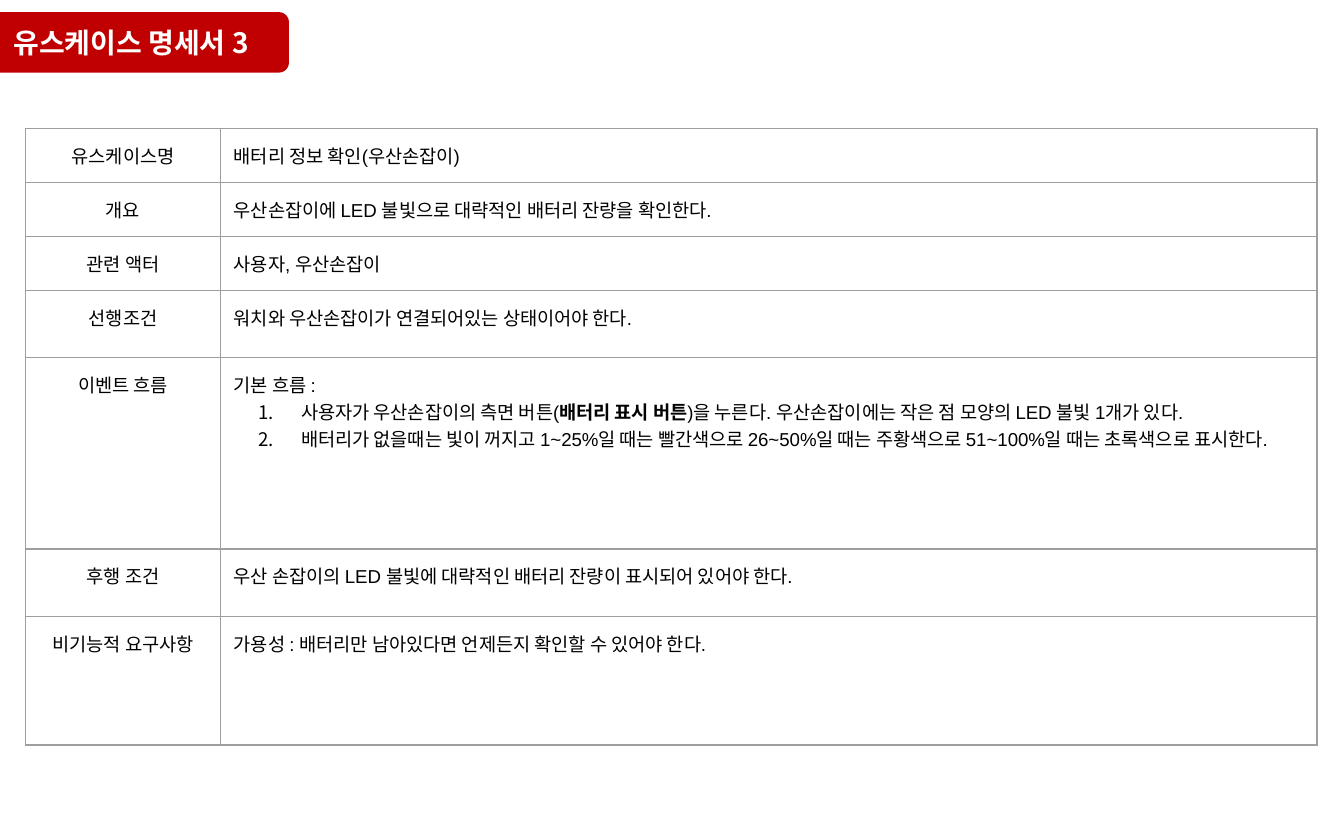
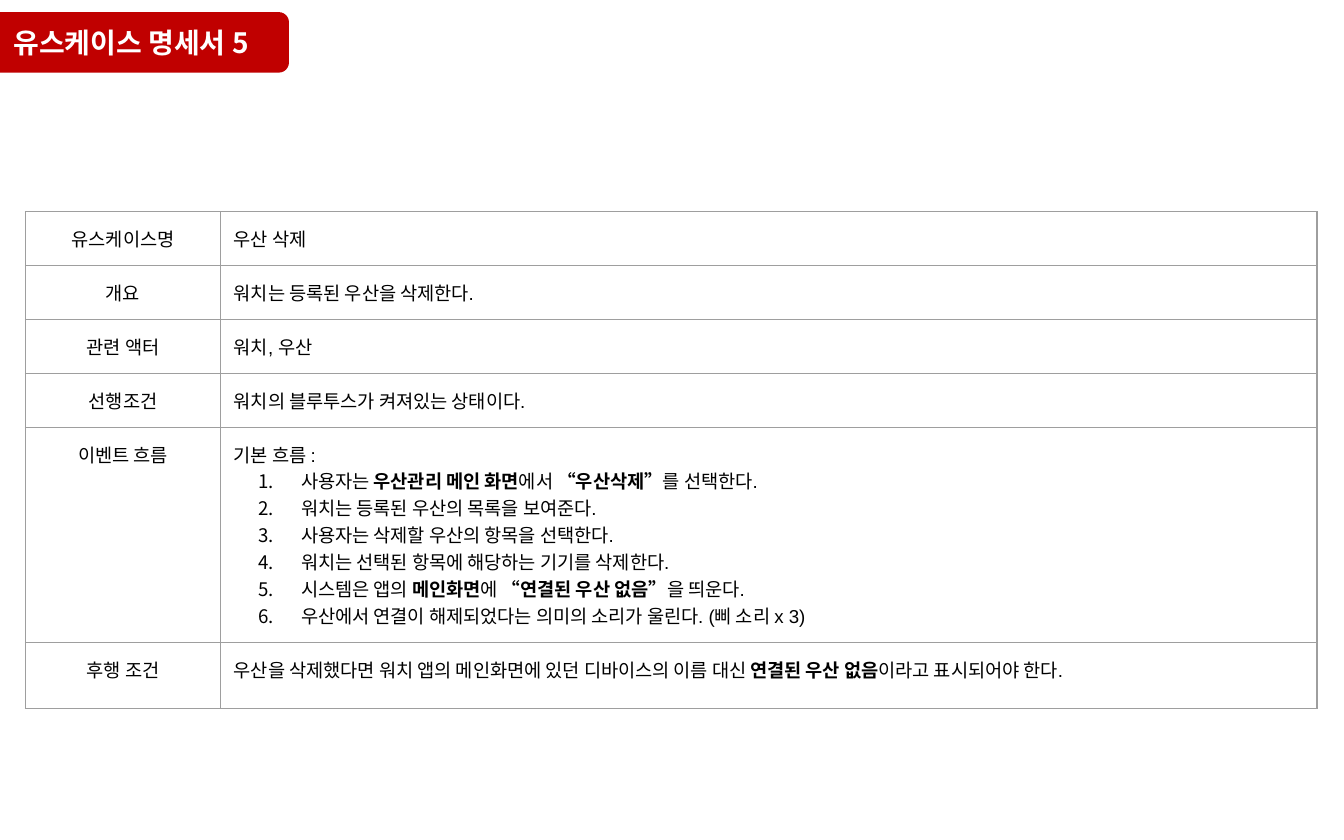
from dataclasses import dataclass

from lxml.etree import SubElement
from pptx import Presentation
from pptx.dml.color import RGBColor
from pptx.enum.shapes import MSO_SHAPE
from pptx.enum.text import MSO_ANCHOR, MSO_AUTO_SIZE, PP_ALIGN
from pptx.oxml import parse_xml
from pptx.oxml.ns import nsdecls, qn
from pptx.util import Pt


@dataclass(frozen=True)
class Theme:
    band: str = "C00000"
    title: str = "FFFFFF"
    text: str = "000000"
    border: str = "9E9E9E"
    body_font: str = "Arial"
    korean_font: str = "Noto Sans CJK KR"
    title_size: float = 15
    body_size: float = 10
    border_width: float = 0.75
    inset: float = 7.2


THEME = Theme()
TITLE_ONLY = 5
COLUMN_WIDTHS = (104.4, 587.5)
TABLE_LEFT = 13.7

# Each row is label, height, content: a string, or a lead line and its steps.
# Double asterisks enclose bold words.
BATTERY_ROWS = [
    ("유스케이스명", 24.5, "배터리 정보 확인(우산손잡이)"),
    ("개요", 26, "우산손잡이에 LED 불빛으로 대략적인 배터리 잔량을 확인한다."),
    ("관련 액터", 24.5, "사용자, 우산손잡이"),
    ("선행조건", 36, "워치와 우산손잡이가 연결되어있는 상태이어야 한다."),
    ("이벤트 흐름", 102.6, [
        "기본 흐름 :",
        "사용자가 우산손잡이의 측면 버튼(**배터리 표시 버튼**)을 누른다. "
        "우산손잡이에는 작은 점 모양의 LED 불빛 1개가 있다.",
        "배터리가 없을때는 빛이 꺼지고 1~25%일 때는 빨간색으로 "
        "26~50%일 때는 주황색으로 51~100%일 때는 초록색으로 표시한다.",
    ]),
    ("후행 조건", 36, "우산 손잡이의 LED 불빛에 대략적인 배터리 잔량이 표시되어 있어야 한다."),
    ("비기능적 요구사항", 69, "가용성 : 배터리만 남아있다면 언제든지 확인할 수 있어야 한다."),
]

DELETE_ROWS = [
    ("유스케이스명", 24.5, "우산 삭제"),
    ("개요", 24.5, "워치는 등록된 우산을 삭제한다."),
    ("관련 액터", 24.5, "워치, 우산"),
    ("선행조건", 24.5, "워치의 블루투스가 켜져있는 상태이다."),
    ("이벤트 흐름", 82, [
        "기본 흐름 :",
        "사용자는 **우산관리 메인 화면**에서 **“우산삭제”**를 선택한다.",
        "워치는 등록된 우산의 목록을 보여준다.",
        "사용자는 삭제할 우산의 항목을 선택한다.",
        "워치는 선택된 항목에 해당하는 기기를 삭제한다.",
        "시스템은 앱의 **메인화면**에 **“연결된 우산 없음”**을 띄운다.",
        "우산에서 연결이 해제되었다는 의미의 소리가 울린다. (삐 소리 x 3)",
    ]),
    ("후행 조건", 35.5, "우산을 삭제했다면 워치 앱의 메인화면에 있던 디바이스의 이름 대신 "
                     "**연결된 우산 없음**이라고 표시되어야 한다."),
]


def write_text(para, text, *, size=THEME.body_size, font=THEME.body_font,
               color=THEME.text, bold=False, align=PP_ALIGN.LEFT):
    """Fill a paragraph; words between double asterisks turn bold."""
    para.alignment = align
    for index, part in enumerate(text.split("**")):
        if not part:
            continue
        span = para.add_run()
        span.text = part
        span.font.size = Pt(size)
        span.font.name = font
        span.font.bold = bold or index % 2 == 1
        span.font.color.rgb = RGBColor.from_string(color)
        east_asian = SubElement(span.font._element, qn("a:ea"))
        east_asian.set("typeface", THEME.korean_font)
        span.font._element.find(qn("a:latin")).addnext(east_asian)


def number_step(para):
    """Give a paragraph an automatic number and a hanging indent."""
    properties = para._p.get_or_add_pPr()
    properties.set("marL", str(Pt(36)))
    properties.set("indent", str(Pt(-23)))
    color = SubElement(SubElement(properties, qn("a:buClr")), qn("a:srgbClr"))
    color.set("val", THEME.text)
    SubElement(properties, qn("a:buFont")).set("typeface", THEME.korean_font)
    SubElement(properties, qn("a:buAutoNum")).set("type", "arabicPeriod")


def set_insets(target):
    for side in ("left", "right", "top", "bottom"):
        setattr(target, f"margin_{side}", Pt(THEME.inset))


def format_cell(cell):
    """Clear the fill, set the insets and draw all four borders."""
    set_insets(cell)
    cell.vertical_anchor = MSO_ANCHOR.TOP
    cell.fill.background()
    properties = cell._tc.get_or_add_tcPr()
    for position, side in enumerate(("lnL", "lnR", "lnT", "lnB")):
        properties.insert(position, parse_xml(
            f'<a:{side} {nsdecls("a")} w="{Pt(THEME.border_width)}">'
            f'<a:solidFill><a:srgbClr val="{THEME.border}"/></a:solidFill>'
            f'</a:{side}>'))


def add_title(page, text):
    """Red band running off the left edge, with the title on it."""
    band = page.shapes.add_shape(MSO_SHAPE.ROUNDED_RECTANGLE,
                                 Pt(-11.5), Pt(6.5), Pt(166.3), Pt(32.4))
    band.shadow.inherit = False
    band.fill.solid()
    band.fill.fore_color.rgb = RGBColor.from_string(THEME.band)
    band.line.fill.background()

    title = page.shapes.title
    title.left, title.top, title.width, title.height = Pt(0), Pt(6.5), Pt(160.5), Pt(19.4)
    frame = title.text_frame
    set_insets(frame)
    frame.word_wrap = True
    frame.auto_size = MSO_AUTO_SIZE.NONE
    frame.vertical_anchor = MSO_ANCHOR.TOP
    write_text(frame.paragraphs[0], text, size=THEME.title_size,
               font=THEME.korean_font, color=THEME.title, bold=True)
    band.element.addnext(title.element)  # title in front of the band


def add_use_case_table(page, rows, top):
    height = sum(row[1] for row in rows)
    table = page.shapes.add_table(len(rows), 2, Pt(TABLE_LEFT), Pt(top),
                                  Pt(sum(COLUMN_WIDTHS)), Pt(height)).table
    table.first_row = table.horz_banding = False
    for column, width in zip(table.columns, COLUMN_WIDTHS):
        column.width = Pt(width)
    for row, (label, row_height, content) in zip(table.rows, rows):
        row.height = Pt(row_height)
        label_cell, content_cell = row.cells
        format_cell(label_cell)
        format_cell(content_cell)
        write_text(label_cell.text_frame.paragraphs[0], label, align=PP_ALIGN.CENTER)
        lead, *steps = [content] if isinstance(content, str) else content
        frame = content_cell.text_frame
        write_text(frame.paragraphs[0], lead)
        for step in steps:
            para = frame.add_paragraph()
            write_text(para, step)
            number_step(para)


def add_use_case_page(deck, title, rows, table_top):
    page = deck.slides.add_slide(deck.slide_layouts[TITLE_ONLY])
    add_title(page, title)
    add_use_case_table(page, rows, table_top)


def main():
    deck = Presentation()
    deck.slide_width, deck.slide_height = Pt(720), Pt(450)
    add_use_case_page(deck, "유스케이스 명세서 3", BATTERY_ROWS, table_top=69)
    add_use_case_page(deck, "유스케이스 명세서 5", DELETE_ROWS, table_top=113.5)
    deck.save("out.pptx")


if __name__ == "__main__":
    main()
